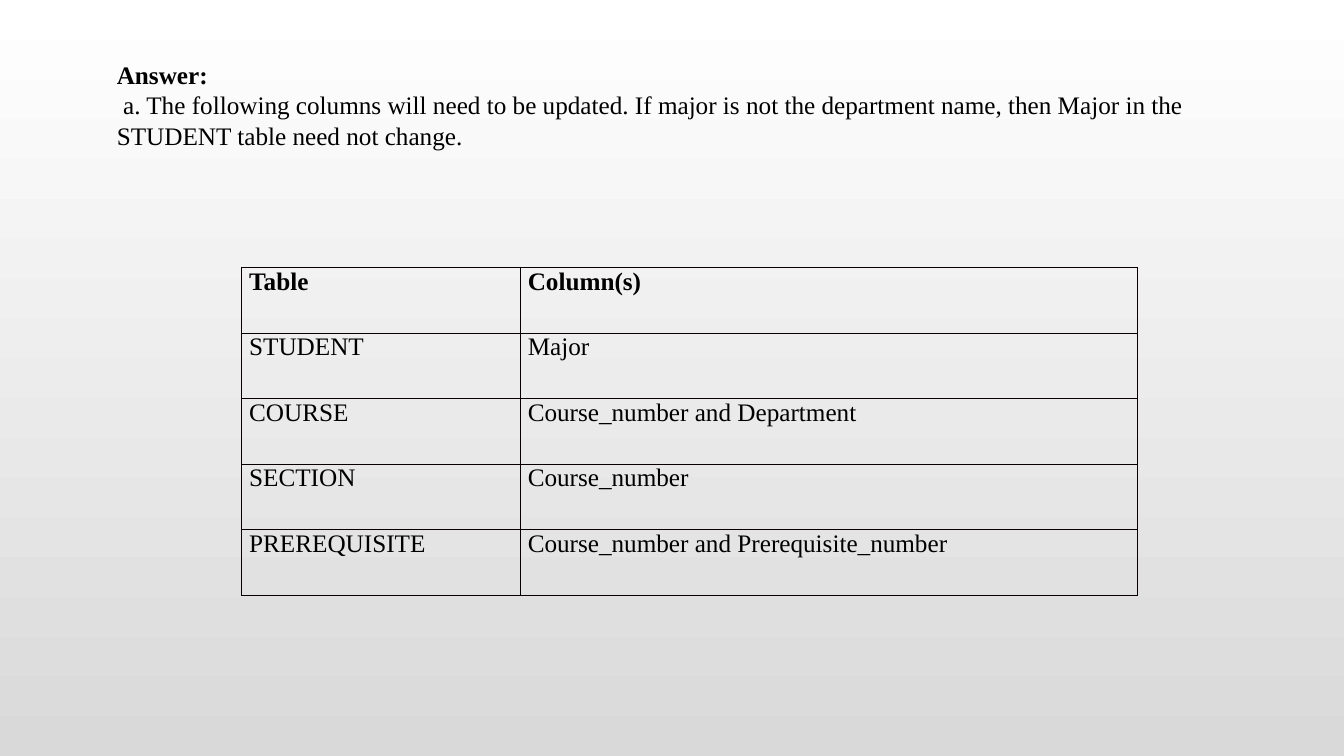
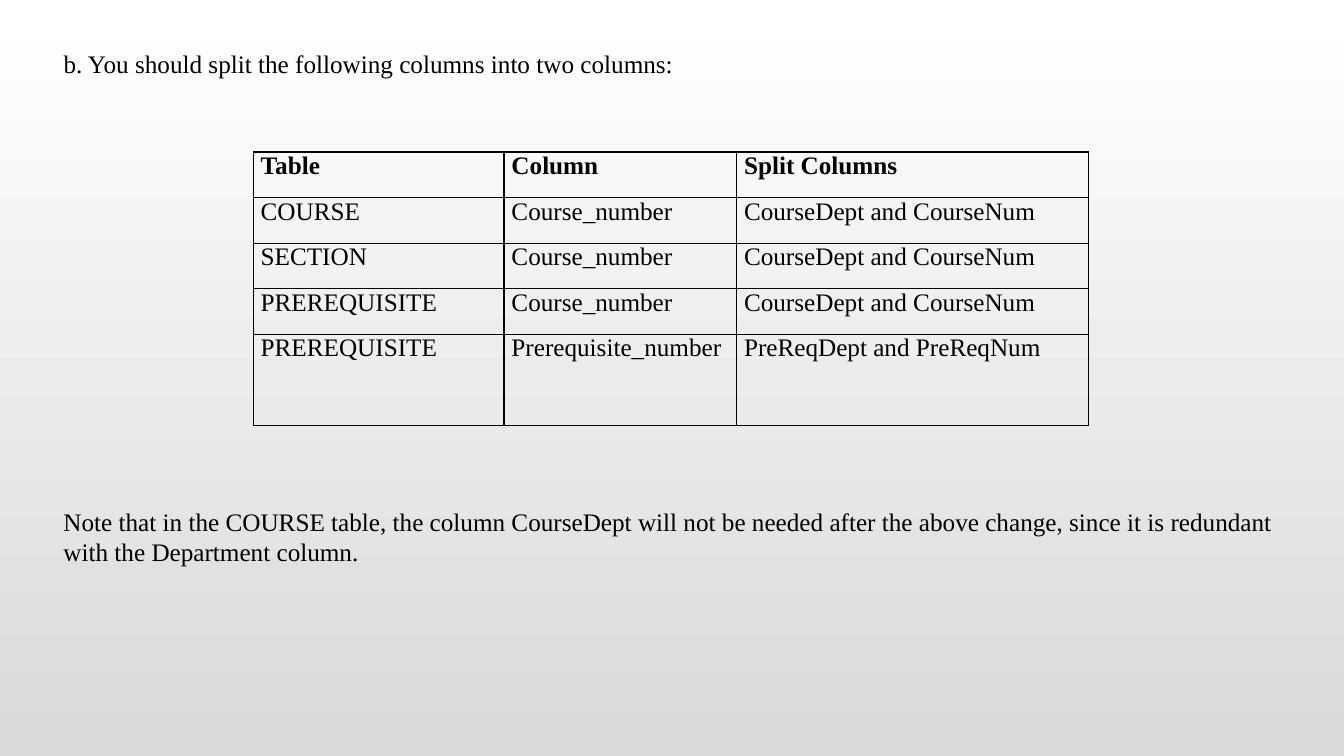
from lxml.etree import SubElement
from pptx import Presentation
from pptx.dml.color import RGBColor
from pptx.enum.text import MSO_ANCHOR, MSO_AUTO_SIZE, PP_ALIGN
from pptx.oxml import parse_xml
from pptx.oxml.ns import nsdecls, qn
from pptx.util import Cm, Pt

BLACK = RGBColor(0x00, 0x00, 0x00)
WHITE = RGBColor(0xFF, 0xFF, 0xFF)
GREY = RGBColor(0xD9, 0xD9, 0xD9)
BORDER = RGBColor(0x08, 0x00, 0x00)
FONT_NAME = "Times New Roman"
FONT_SIZE = Pt(18)
CELL_MARGIN = Cm(0.19)
TITLE_ONLY = 5


def set_background(master):
    fill = master.background.fill
    fill.gradient()
    fill.gradient_angle = 270
    for stop, color in zip(fill.gradient_stops, (WHITE, GREY)):
        stop.color.rgb = color


def style_paragraph(para, bold=False):
    para.alignment = PP_ALIGN.LEFT
    para.font.name = FONT_NAME
    para.font.size = FONT_SIZE
    para.font.bold = bold
    para.font.color.rgb = BLACK


def fill_text(box, lines, bold_first=False):
    frame = box.text_frame
    frame.word_wrap = True
    frame.auto_size = MSO_AUTO_SIZE.NONE
    frame.vertical_anchor = MSO_ANCHOR.TOP
    frame.text = "\n".join(lines)
    for index, para in enumerate(frame.paragraphs):
        style_paragraph(para, bold_first and index == 0)


def add_page(deck, place, lines, bold_first=False):
    page = deck.slides.add_slide(deck.slide_layouts[TITLE_ONLY])
    title = page.shapes.title
    title.left, title.top, title.width, title.height = map(Cm, place)
    fill_text(title, lines, bold_first)
    return page


def add_note(page, place, text):
    fill_text(page.shapes.add_textbox(*map(Cm, place)), [text])


def set_borders(cell):
    properties = cell._tc.get_or_add_tcPr()
    for index, side in enumerate(("lnL", "lnR", "lnT", "lnB")):
        line = parse_xml(f'<a:{side} {nsdecls("a")} w="{Pt(1)}"/>')
        solid = SubElement(line, qn("a:solidFill"))
        SubElement(solid, qn("a:srgbClr"), val=str(BORDER))
        properties.insert(index, line)


def fill_cell(cell, text, bold):
    cell.text = text
    cell.margin_left = cell.margin_right = CELL_MARGIN
    cell.margin_top = cell.margin_bottom = 0
    cell.fill.background()
    set_borders(cell)
    style_paragraph(cell.text_frame.paragraphs[0], bold)


def add_grid(page, left, top, widths, heights, rows):
    frame = page.shapes.add_table(
        len(rows), len(widths), Cm(left), Cm(top), Cm(sum(widths)), Cm(sum(heights))
    )
    table = frame.table
    table.first_row = table.horz_banding = False
    for column, width in zip(table.columns, widths):
        column.width = Cm(width)
    for row, height in zip(table.rows, heights):
        row.height = Cm(height)
    for row_index, texts in enumerate(rows):
        for column_index, text in enumerate(texts):
            fill_cell(table.cell(row_index, column_index), text, row_index == 0)


def add_update_page(deck):
    page = add_page(
        deck,
        (2.69, 1.37, 28.58, 2.57),
        [
            "Answer:",
            " a. The following columns will need to be updated. If major is not the "
            "department name, then Major in the STUDENT table need not change.",
        ],
        bold_first=True,
    )
    rows = [
        ("Table", "Column(s)"),
        ("STUDENT", "Major"),
        ("COURSE", "Course_number and Department"),
        ("SECTION", "Course_number"),
        ("PREREQUISITE", "Course_number and Prerequisite_number"),
    ]
    add_grid(page, 6.09, 6.75, (7.02, 15.56), [1.65] * len(rows), rows)


def add_split_page(deck):
    page = add_page(
        deck,
        (1.35, 1.09, 19.96, 1.02),
        ["b. You should split the following columns into two columns:"],
    )
    course_split = ("Course_number", "CourseDept and CourseNum")
    rows = [
        ("Table", "Column", "Split Columns"),
        ("COURSE", *course_split),
        ("SECTION", *course_split),
        ("PREREQUISITE", *course_split),
        ("PREREQUISITE", "Prerequisite_number", "PreReqDept and PreReqNum"),
    ]
    heights = [1.15] * (len(rows) - 1) + [2.3]
    add_grid(page, 6.38, 3.83, (6.32, 5.86, 8.88), heights, rows)
    add_note(
        page,
        (1.35, 12.63, 31.3, 1.8),
        "Note that in the COURSE table, the column CourseDept will not be needed after "
        "the above change, since it is redundant with the Department column.",
    )


def main():
    deck = Presentation()
    deck.slide_width = Cm(33.87)
    deck.slide_height = Cm(19.05)
    set_background(deck.slide_master)
    add_update_page(deck)
    add_split_page(deck)
    deck.save("out.pptx")


if __name__ == "__main__":
    main()
